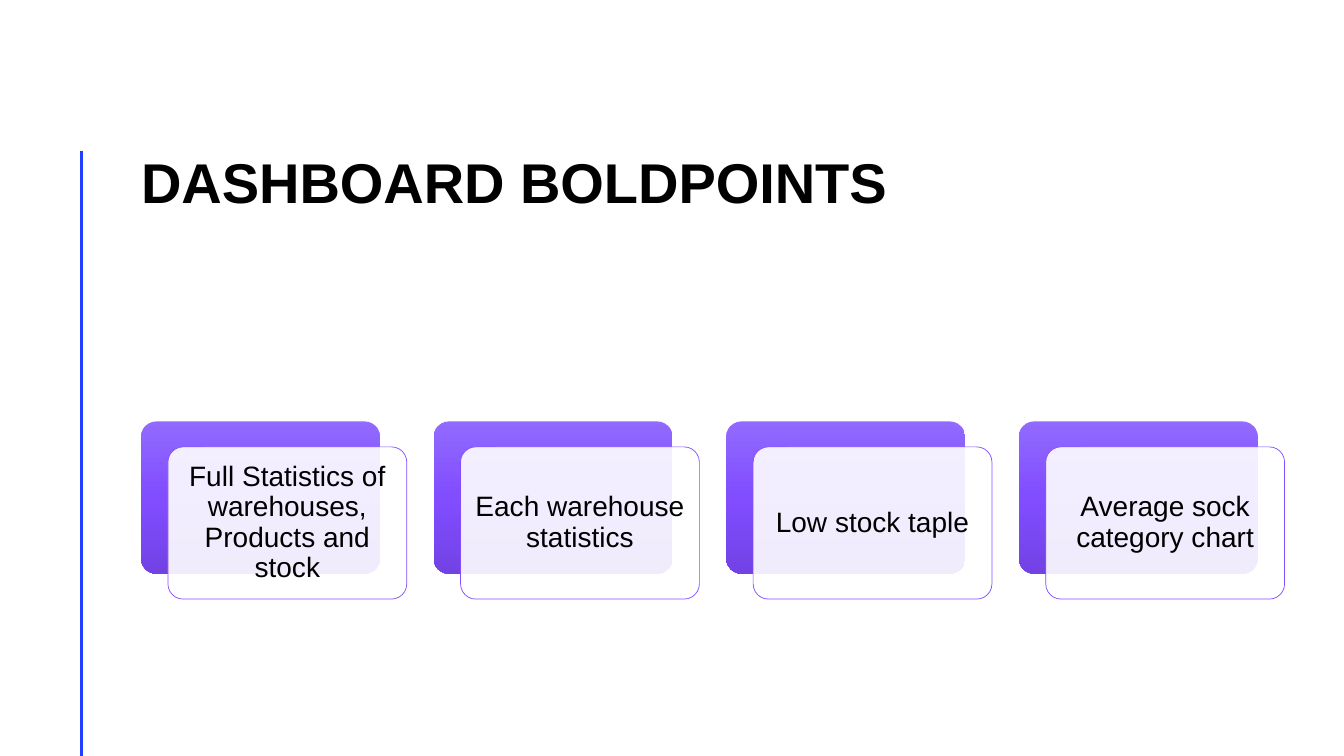
from copy import deepcopy
from dataclasses import dataclass

from lxml.etree import SubElement
from pptx import Presentation
from pptx.dml.color import RGBColor
from pptx.enum.shapes import MSO_CONNECTOR, MSO_SHAPE
from pptx.enum.text import MSO_ANCHOR, PP_ALIGN
from pptx.oxml.ns import qn
from pptx.shapes.autoshape import Shape
from pptx.slide import Slide
from pptx.text.text import TextFrame
from pptx.util import Pt

COLOURS = {
    "text": "000000",
    "panel": "FFFFFF",
    "outline": "814DFF",
    "rule": "2240FF",
}
GRADIENT = [(0, "916AFF"), (0.5, "814DFF"), (1, "7242E5")]
FONT = "Arial"
LEFT = 100.8
CARD_TOP = 301
CARD_STEP = 209
CARD_WIDTH, CARD_HEIGHT = 170.6, 108.7
PANEL_SHIFT_X, PANEL_SHIFT_Y = 19.2, 18.2


@dataclass
class Card:
    text: str
    left: float


CARD_TEXTS = [
    "Full Statistics of warehouses, Products and stock",
    "Each warehouse statistics",
    "Low stock taple",
    "Average sock category chart",
]
CARDS = [Card(text, LEFT + index * CARD_STEP) for index, text in enumerate(CARD_TEXTS)]


def colour(name: str) -> RGBColor:
    return RGBColor.from_string(COLOURS[name])


def write_text(frame: TextFrame, text: str, size: float, inset: float,
               line_spacing: float, align: PP_ALIGN, bold: bool = False) -> None:
    frame.word_wrap = True
    frame.vertical_anchor = MSO_ANCHOR.MIDDLE
    frame.margin_left = frame.margin_right = Pt(inset)
    frame.margin_top = frame.margin_bottom = Pt(inset)
    frame.text = text
    paragraph = frame.paragraphs[0]
    paragraph.alignment = align
    paragraph.line_spacing = line_spacing
    font = paragraph.runs[0].font
    font.name, font.size, font.bold = FONT, Pt(size), bold
    font.color.rgb = colour("text")


def add_rounded_box(slide: Slide, left: float, top: float) -> Shape:
    shape = slide.shapes.add_shape(
        MSO_SHAPE.ROUNDED_RECTANGLE,
        Pt(left), Pt(top), Pt(CARD_WIDTH), Pt(CARD_HEIGHT))
    shape.adjustments[0] = 0.1
    shape.shadow.inherit = False
    return shape


def fill_with_gradient(shape: Shape) -> None:
    """Fill from top to bottom with the three GRADIENT stops."""
    shape.fill.gradient()
    shape.fill.gradient_angle = 270
    stop_list = next(shape.element.iter(qn("a:gsLst")))
    stop_list.append(deepcopy(stop_list[0]))
    for stop, (position, value) in zip(shape.fill.gradient_stops, GRADIENT):
        stop.position = position
        stop.color.rgb = RGBColor.from_string(value)


def add_card(slide: Slide, card: Card) -> None:
    """Draw a gradient box with a translucent text panel shifted over it."""
    backing = add_rounded_box(slide, card.left, CARD_TOP)
    fill_with_gradient(backing)
    backing.line.fill.background()

    panel = add_rounded_box(slide, card.left + PANEL_SHIFT_X, CARD_TOP + PANEL_SHIFT_Y)
    panel.fill.solid()
    panel.fill.fore_color.rgb = colour("panel")
    fill_colour = next(panel.element.spPr.iter(qn("a:srgbClr")))
    SubElement(fill_colour, qn("a:alpha")).set("val", "90000")
    panel.line.color.rgb = colour("outline")
    panel.line.width = Pt(0.5)
    write_text(panel.text_frame, card.text, 20, 6, 0.9, PP_ALIGN.CENTER)


def add_side_rule(slide: Slide) -> None:
    rule = slide.shapes.add_connector(
        MSO_CONNECTOR.STRAIGHT, Pt(58.5), Pt(108), Pt(58.5), Pt(540))
    rule.line.color.rgb = colour("rule")
    rule.line.width = Pt(2)
    SubElement(rule.element.spPr, qn("a:effectLst"))


def add_title(slide: Slide) -> None:
    title = slide.shapes.add_textbox(Pt(LEFT), Pt(50.4), Pt(719.3), Pt(165.6))
    write_text(title.text_frame, "DASHBOARD BOLDPOINTS", 40, 0, Pt(40),
               PP_ALIGN.LEFT, bold=True)


def main() -> None:
    presentation = Presentation()
    presentation.slide_width, presentation.slide_height = Pt(960), Pt(540)
    slide = presentation.slides.add_slide(presentation.slide_layouts[6])
    add_side_rule(slide)
    add_title(slide)
    for card in CARDS:
        add_card(slide, card)
    presentation.save("out.pptx")


if __name__ == "__main__":
    main()
